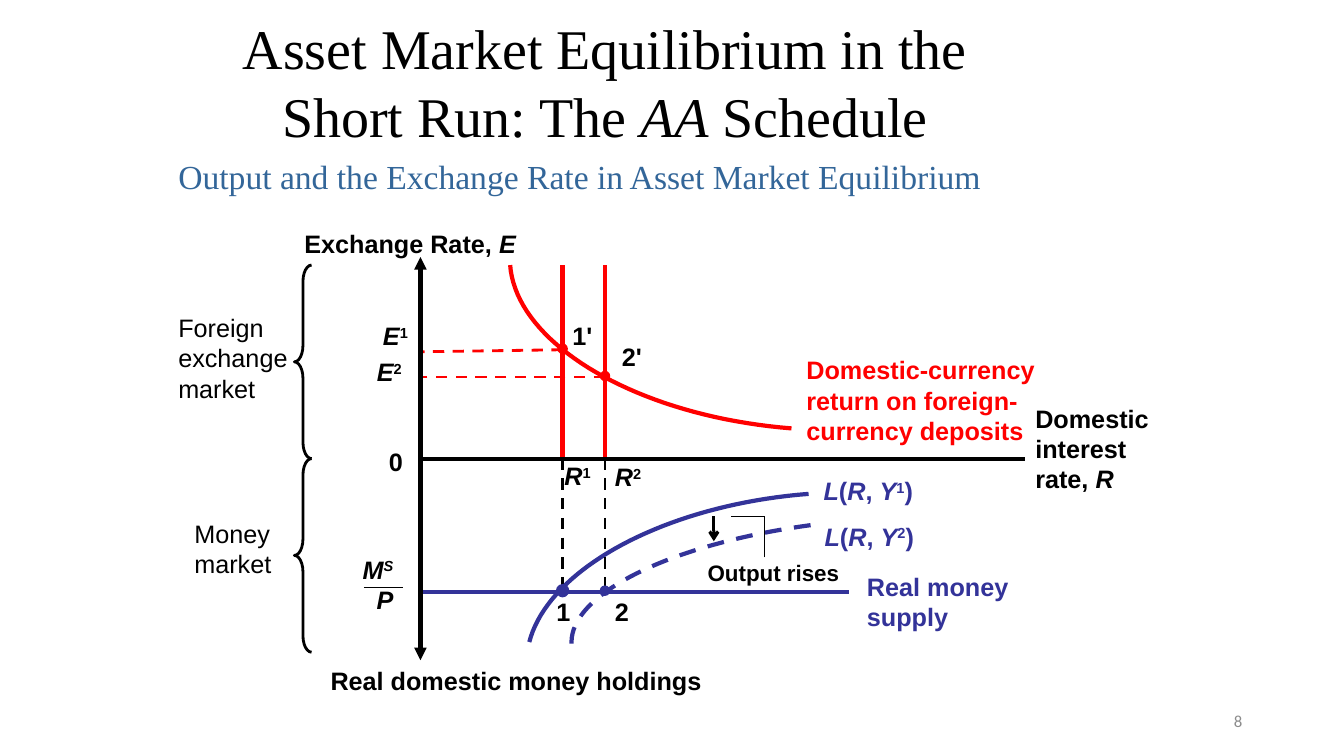
from dataclasses import dataclass
from typing import Any

from lxml import etree
from pptx import Presentation
from pptx.dml.color import RGBColor
from pptx.enum.dml import MSO_LINE
from pptx.enum.shapes import MSO_CONNECTOR, MSO_SHAPE
from pptx.enum.text import MSO_ANCHOR, PP_ALIGN
from pptx.oxml.ns import qn
from pptx.util import Inches, Pt

DASH = MSO_LINE.DASH
STRAIGHT = MSO_CONNECTOR.STRAIGHT
OVAL, LEFT_BRACE = MSO_SHAPE.OVAL, MSO_SHAPE.LEFT_BRACE
MIDDLE, BOTTOM = MSO_ANCHOR.MIDDLE, MSO_ANCHOR.BOTTOM
LEFT, CENTER, RIGHT = PP_ALIGN.LEFT, PP_ALIGN.CENTER, PP_ALIGN.RIGHT

COLORS = {"black": "000000", "red": "FF0000", "indigo": "333399",
          "subtitle": "336699", "number": "8C8C8C"}
AXIS_X = 2.5            # vertical axis, from the left of each region
RATES_X = (3.91, 4.33)  # interest rates R1 and R2
CURVE_STEPS = 40


def rgb(name):
    return RGBColor.from_string(COLORS[name])


def write(frame, lines, size, color, font="Arial", align=LEFT):
    """Each line is a list of (text, style); style letters: b bold, i italic, ^ superscript."""
    frame.word_wrap = True
    for index, line in enumerate(lines):
        paragraph = frame.paragraphs[0] if index == 0 else frame.add_paragraph()
        paragraph.alignment = align
        for text, style in line:
            run = paragraph.add_run()
            run.text = text
            run.font.name = font
            run.font.size = Pt(size)
            run.font.bold = "b" in style
            run.font.italic = "i" in style
            run.font.color.rgb = rgb(color)
            if "^" in style:
                run._r.get_or_add_rPr().set("baseline", "30000")


def bold(*texts):
    return [[(text, "b")] for text in texts]


def indexed(letter, index):
    return [(letter, "bi"), (index, "b^")]


@dataclass
class Region:
    """A box on the slide; everything drawn in it is measured from its top left."""
    slide: Any
    left: float
    top: float
    width: float
    height: float

    def place(self, x, y):
        return Inches(self.left + x), Inches(self.top + y)

    def text(self, x, y, width, height, lines, color="black", size=18,
             font="Arial", align=LEFT, anchor=None):
        box = self.slide.shapes.add_textbox(*self.place(x, y), Inches(width), Inches(height))
        write(box.text_frame, lines, size, color, font, align)
        if anchor is not None:
            box.text_frame.vertical_anchor = anchor

    def line(self, start, end, color="black", weight=3, dash=None, head=None, tail=None):
        connector = self.slide.shapes.add_connector(
            STRAIGHT, *self.place(*start), *self.place(*end))
        connector.line.color.rgb = rgb(color)
        connector.line.width = Pt(weight)
        if dash is not None:
            connector.line.dash_style = dash
        for tag, kind in (("a:headEnd", head), ("a:tailEnd", tail)):
            if kind:
                etree.SubElement(connector.line._get_or_add_ln(), qn(tag), type=kind)
        etree.SubElement(connector._element.spPr, qn("a:effectLst"))

    def curve(self, controls, color, dash=None):
        """Draws a cubic Bézier curve through its four control points."""
        points = []
        for step in range(CURVE_STEPS + 1):
            t = step / CURVE_STEPS
            weights = ((1 - t) ** 3, 3 * t * (1 - t) ** 2, 3 * t ** 2 * (1 - t), t ** 3)
            points.append(self.place(*(
                sum(weight * control[axis] for weight, control in zip(weights, controls))
                for axis in (0, 1))))
        builder = self.slide.shapes.build_freeform(*points[0])
        builder.add_line_segments(points[1:], close=False)
        shape = builder.convert_to_shape()
        shape.shadow.inherit = False
        shape.fill.background()
        shape.line.color.rgb = rgb(color)
        shape.line.width = Pt(3)
        if dash is not None:
            shape.line.dash_style = dash

    def dot(self, x, y, color, weight=1, size=0.09):
        shape = self.slide.shapes.add_shape(
            OVAL, *self.place(x - size / 2, y - size / 2), Inches(size), Inches(size))
        shape.shadow.inherit = False
        shape.fill.solid()
        shape.fill.fore_color.rgb = rgb(color)
        shape.line.color.rgb = rgb(color)
        shape.line.width = Pt(weight)

    def brace(self, x, width=0.17):
        shape = self.slide.shapes.add_shape(
            LEFT_BRACE, *self.place(x, 0), Inches(width), Inches(self.height))
        shape.adjustments[0] = 0.958
        shape.shadow.inherit = False
        shape.fill.background()
        shape.line.color.rgb = rgb("black")
        shape.line.width = Pt(2)


def add_heading(region):
    title = region.slide.shapes.title
    title.left, title.top = region.place(0.08, 0)
    title.width, title.height = Inches(8.5), Inches(1.07)
    title.text_frame.vertical_anchor = MIDDLE
    write(title.text_frame,
          [[("Asset Market Equilibrium in the Short Run: The ", ""), ("AA", "i"),
            (" Schedule", "")]], 40, "black", "Times New Roman", CENTER)
    region.text(0, 1.06, region.width, 0.67,
                [[("Output and the Exchange Rate in Asset Market Equilibrium", "")]],
                "subtitle", 24, "Times New Roman", anchor=BOTTOM)


def add_foreign_exchange_market(region):
    region.brace(1.25)
    region.text(0, 0.42, 1.4, 1, [[("Foreign", "")], [("exchange", "")], [("market", "")]])
    region.curve([(6.18, 1.62), (4.66, 1.5), (3.45, 0.79), (3.39, 0)], "red")
    region.text(6.23, 0.84, 2.6, 1,
                bold("Domestic-currency", "return on foreign-", "currency deposits"), "red")
    equilibria = (
        ("1", 0.84, 0.86, (2.03, 0.5), (3.91, 0.5), (3.83, 1.89)),
        ("2", 1.11, 1.11, (1.97, 0.86), (4.4, 0.71), (4.33, 1.9)),
    )
    for rate_x, (index, y, axis_y, exchange_at, point_at, rate_at) in zip(RATES_X, equilibria):
        region.line((rate_x, y), (AXIS_X, axis_y), "red", 2, DASH)
        region.line((rate_x, 0), (rate_x, region.height), "red")
        region.dot(rate_x, y - 0.01, "red")
        region.text(*exchange_at, 0.6, 0.4, [indexed("E", index)])
        region.text(*point_at, 0.5, 0.4, bold(index + "'"))
        region.text(*rate_at, 0.62, 0.4, [indexed("R", index)])


def add_money_market(region):
    region.brace(1.25)
    region.text(0.16, 0.54, 1.1, 0.7, [[("Money", "")], [("market", "")]])

    supply_y = 1.32
    region.line((AXIS_X, supply_y), (6.75, supply_y), "indigo")
    region.text(6.83, 1.07, 2, 0.7, bold("Real money", "supply"), "indigo")
    region.text(1.73, 0.9, 0.6, 0.7, [[("M", "bi"), ("S", "bi^")], [("P", "bi")]], align=RIGHT)
    region.line((1.94, 1.28), (2.33, 1.28), weight=0.75)

    demands = (
        ("1", [(6.35, 0.35), (4.93, 0.46), (3.77, 1.09), (3.58, 1.82)], None, (6.4, 0.12), 3.75, 3),
        ("2", [(6.37, 0.66), (4.97, 0.85), (3.96, 1.35), (4, 1.85)], DASH, (6.41, 0.57), 4.33, 1),
    )
    for rate_x, (index, controls, dash, label_at, point_x, weight) in zip(RATES_X, demands):
        region.line((rate_x, 0), (rate_x, supply_y), weight=2, dash=DASH)
        region.curve(controls, "indigo", dash)
        region.dot(rate_x, supply_y - 0.01, "indigo", weight)
        region.text(point_x, supply_y, 0.34, 0.4, bold(index))
        region.text(*label_at, 1.2, 0.4,
                    [[("L", "bi"), ("(", "b"), ("R", "bi"), (", ", "b"),
                      *indexed("Y", index), (")", "b")]], "indigo")

    region.text(5.25, 0.95, 1.6, 0.37, bold("Output rises"), size=16)
    region.line((5.41, 0.57), (5.41, 0.82), weight=2.25, tail="arrow")
    region.line((5.91, 0.98), (5.91, 0.57), weight=0.75)
    region.line((5.91, 0.57), (5.58, 0.57), weight=0.75)


def add_axes(region):
    origin_y = region.height / 2
    region.line((AXIS_X, 0), (AXIS_X, region.height), head="triangle", tail="triangle")
    region.line((AXIS_X, origin_y), (region.width, origin_y))
    region.text(1.25, -0.33, 2.58, 0.4, [[("Exchange Rate, ", "b"), ("E", "bi")]])
    region.text(2.09, origin_y - 0.17, 0.34, 0.4, bold("0"))
    region.text(region.width, origin_y - 0.6, 1.83, 1,
                [*bold("Domestic interest"), [("rate, ", "b"), ("R", "bi")]])
    region.text(1.51, region.height, 4.07, 0.4, bold("Real domestic money holdings"))


def main():
    presentation = Presentation()
    presentation.slide_width, presentation.slide_height = Inches(13.33), Inches(7.5)
    slide = presentation.slides.add_slide(presentation.slide_layouts[5])
    add_heading(Region(slide, 1.67, 0.27, 10, 1.73))
    add_foreign_exchange_market(Region(slide, 1.67, 2.63, 8.5, 1.92))
    add_money_market(Region(slide, 1.67, 4.55, 8.5, 1.92))
    add_axes(Region(slide, 1.67, 2.55, 8.5, 4))
    Region(slide, 9.42, 6.95, 3, 0.4).text(
        0, 0, 3, 0.4, [[("8", "")]], "number", 12, "Calibri", RIGHT, MIDDLE)
    presentation.save("out.pptx")


if __name__ == "__main__":
    main()
